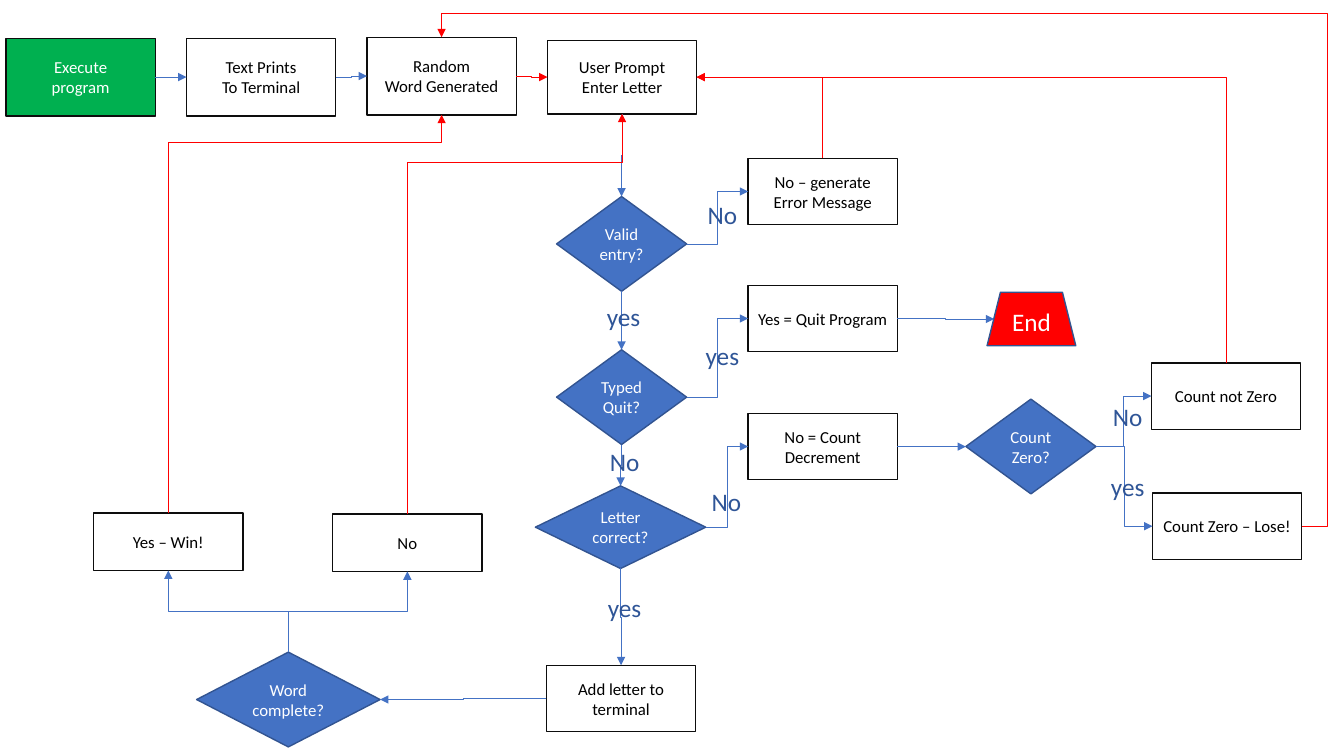
from dataclasses import dataclass
from enum import IntEnum

import pptx
import pptx.dml.color
import pptx.enum.shapes
import pptx.enum.text
import pptx.oxml
import pptx.oxml.ns
import pptx.util

Inches = pptx.util.Inches
Shape = pptx.enum.shapes.MSO_SHAPE
qn = pptx.oxml.ns.qn

FONT = "Calibri"
BLACK, WHITE, RED, GREEN = "000000", "FFFFFF", "FF0000", "00B050"
BLUE, NAVY, LABEL_BLUE, INK = "4472C4", "325491", "2F5597", "0D0D0D"
BOX_W, BOX_H = 1.48, 0.66
DIAMOND_W, DIAMOND_H = 1.29, 0.94
LABEL_W, LABEL_H = 0.61, 0.22


class Site(IntEnum):
    TOP = 0
    LEFT = 1
    BOTTOM = 2
    RIGHT = 3


T, L, B, R = Site.TOP, Site.LEFT, Site.BOTTOM, Site.RIGHT


@dataclass
class Node:
    key: str
    text: str
    x: float
    y: float
    w: float = BOX_W
    h: float = BOX_H
    kind: int = Shape.RECTANGLE
    fill: str | None = None
    line: str = INK
    color: str = BLACK
    size: int = 12


@dataclass
class Arrow:
    start: str
    start_site: Site
    end: str
    end_site: Site
    color: str = BLUE
    bends: int = 3  # number of the bentConnector preset
    adj: tuple[float, ...] = ()
    inset: float = 0  # moves the tip onto a slanted side


@dataclass
class Label:
    text: str
    x: float
    y: float


def diamond(key: str, text: str, x: float, y: float,
            w: float = DIAMOND_W, h: float = DIAMOND_H) -> Node:
    return Node(key, text, x, y, w, h, Shape.DIAMOND, BLUE, NAVY, WHITE)


NODES = [
    Node("start", "Execute\nprogram", 0.06, 0.38, h=0.77, fill=GREEN, color=WHITE),
    Node("print", "Text Prints\nTo Terminal", 1.85, 0.38, h=0.77),
    Node("random", "Random\nWord Generated", 3.64, 0.37, h=0.77),
    Node("prompt", "User Prompt\nEnter Letter", 5.43, 0.4, h=0.73),
    Node("quit", "Yes = Quit Program", 7.42, 2.83),
    Node("error", "No – generate Error Message", 7.42, 1.57),
    diamond("valid?", "Valid entry?", 5.52, 1.95),
    diamond("quit?", "Typed\nQuit?", 5.52, 3.47),
    diamond("correct?", "Letter correct?", 5.31, 4.82, 1.69, 0.82),
    diamond("complete?", "Word complete?", 1.95, 6.47, 1.82),
    diamond("zero?", "Count Zero?", 9.58, 3.96),
    Node("decrement", "No = Count Decrement", 7.42, 4.1),
    Node("end", "End", 9.79, 2.9, 0.88, 0.53, Shape.TRAPEZOID, RED, NAVY, WHITE, 18),
    Node("not complete", "No", 3.3, 5.1, h=0.57),
    Node("win", "Yes – Win!", 0.93, 5.09, h=0.57),
    Node("add", "Add letter to terminal", 5.42, 6.6),
    Node("lose", "Count Zero – Lose!", 11.43, 4.89),
    Node("not zero", "Count not Zero", 11.42, 3.6),
]

ARROWS = [
    Arrow("start", R, "print", L),
    Arrow("print", R, "random", L),
    Arrow("random", R, "prompt", L, RED),
    Arrow("prompt", B, "valid?", T),
    Arrow("valid?", B, "quit?", T),
    Arrow("quit?", B, "correct?", T),
    Arrow("correct?", B, "add", T),
    Arrow("valid?", R, "error", L),
    Arrow("quit?", R, "quit", L),
    Arrow("correct?", R, "decrement", L),
    Arrow("decrement", R, "zero?", L),
    Arrow("zero?", R, "lose", L),
    Arrow("quit", R, "end", L, inset=0.07),
    Arrow("zero?", R, "not zero", L),
    Arrow("not zero", T, "prompt", R, RED, 2),
    Arrow("error", T, "prompt", R, RED, 2),
    Arrow("add", L, "complete?", R),
    Arrow("complete?", T, "win", B),
    Arrow("complete?", T, "not complete", B),
    Arrow("win", T, "random", B, RED, adj=(0.93,)),
    Arrow("not complete", T, "prompt", B, RED, adj=(0.88,)),
    Arrow("lose", R, "random", T, RED, 4, (-0.03, 1.05)),
]

LABELS = [
    Label("yes", 5.88, 3.03), Label("No", 5.89, 4.47), Label("yes", 5.89, 5.92),
    Label("No", 6.86, 2.02), Label("yes", 6.86, 3.42), Label("No", 6.9, 4.86),
    Label("yes", 10.88, 4.72), Label("No", 10.88, 4.02),
]


def rgb(value: str) -> pptx.dml.color.RGBColor:
    return pptx.dml.color.RGBColor.from_string(value)


def set_text(sp, text: str, size: int, color: str) -> None:
    tf = sp.text_frame
    tf.text = text
    tf.word_wrap = True
    tf.vertical_anchor = pptx.enum.text.MSO_ANCHOR.MIDDLE
    for p in tf.paragraphs:
        p.alignment = pptx.enum.text.PP_ALIGN.CENTER
        for r in p.runs:
            r.font.name = FONT
            r.font.size = pptx.util.Pt(size)
            r.font.color.rgb = rgb(color)


def draw_node(s, node: Node):
    sp = s.shapes.add_shape(node.kind, *map(Inches, (node.x, node.y, node.w, node.h)))
    sp.shadow.inherit = False
    if node.fill:
        sp.fill.solid()
        sp.fill.fore_color.rgb = rgb(node.fill)
    else:
        sp.fill.background()
    sp.line.color.rgb = rgb(node.line)
    sp.line.width = pptx.util.Pt(1)
    set_text(sp, node.text, node.size, node.color)
    return sp


def draw_arrow(s, arrow: Arrow, shapes: dict) -> None:
    cxn = s.shapes.add_connector(pptx.enum.shapes.MSO_CONNECTOR.ELBOW, 0, 0, 0, 0)
    cxn.begin_connect(shapes[arrow.start], arrow.start_site)
    cxn.end_connect(shapes[arrow.end], arrow.end_site)
    cxn.end_x += Inches(arrow.inset)
    spPr = cxn._element.spPr

    # A route that leaves vertically is a horizontal one turned by 90 degrees
    if arrow.start_site in (T, B):
        dx, dy = cxn.end_x - cxn.begin_x, cxn.end_y - cxn.begin_y
        mid_x, mid_y = cxn.begin_x + dx // 2, cxn.begin_y + dy // 2
        cxn.width, cxn.height = abs(dy), abs(dx)
        cxn.left, cxn.top = mid_x - cxn.width // 2, mid_y - cxn.height // 2
        spPr.xfrm.rot = 90
        spPr.xfrm.flipH, spPr.xfrm.flipV = dy < 0, dx > 0

    # Bends
    geom = spPr.find(qn("a:prstGeom"))
    geom.set("prst", f"bentConnector{arrow.bends}")
    for i, value in enumerate(arrow.adj, 1):
        gd = pptx.oxml.ns.qn("a:gd")
        guide = geom.find(qn("a:avLst")).makeelement(gd, {
            "name": f"adj{i}", "fmla": f"val {round(value * 100000)}"})
        geom.find(qn("a:avLst")).append(guide)

    # Line, arrowhead, no shadow
    cxn.line.color.rgb = rgb(arrow.color)
    cxn.line.width = pptx.util.Pt(0.5)
    ln = spPr.find(qn("a:ln"))
    ln.append(ln.makeelement(qn("a:tailEnd"), {"type": "triangle"}))
    spPr.append(spPr.makeelement(qn("a:effectLst"), {}))


def draw_label(s, label: Label) -> None:
    sp = s.shapes.add_textbox(*map(Inches, (label.x, label.y, LABEL_W, LABEL_H)))
    set_text(sp, label.text, 18, LABEL_BLUE)


def main() -> None:
    prs = pptx.Presentation()
    prs.slide_width, prs.slide_height = Inches(13.33), Inches(7.5)
    s = prs.slides.add_slide(prs.slide_layouts[6])
    shapes = {node.key: draw_node(s, node) for node in NODES}
    for arrow in ARROWS:
        draw_arrow(s, arrow, shapes)
    for label in LABELS:
        draw_label(s, label)
    prs.save("out.pptx")


if __name__ == "__main__":
    main()
